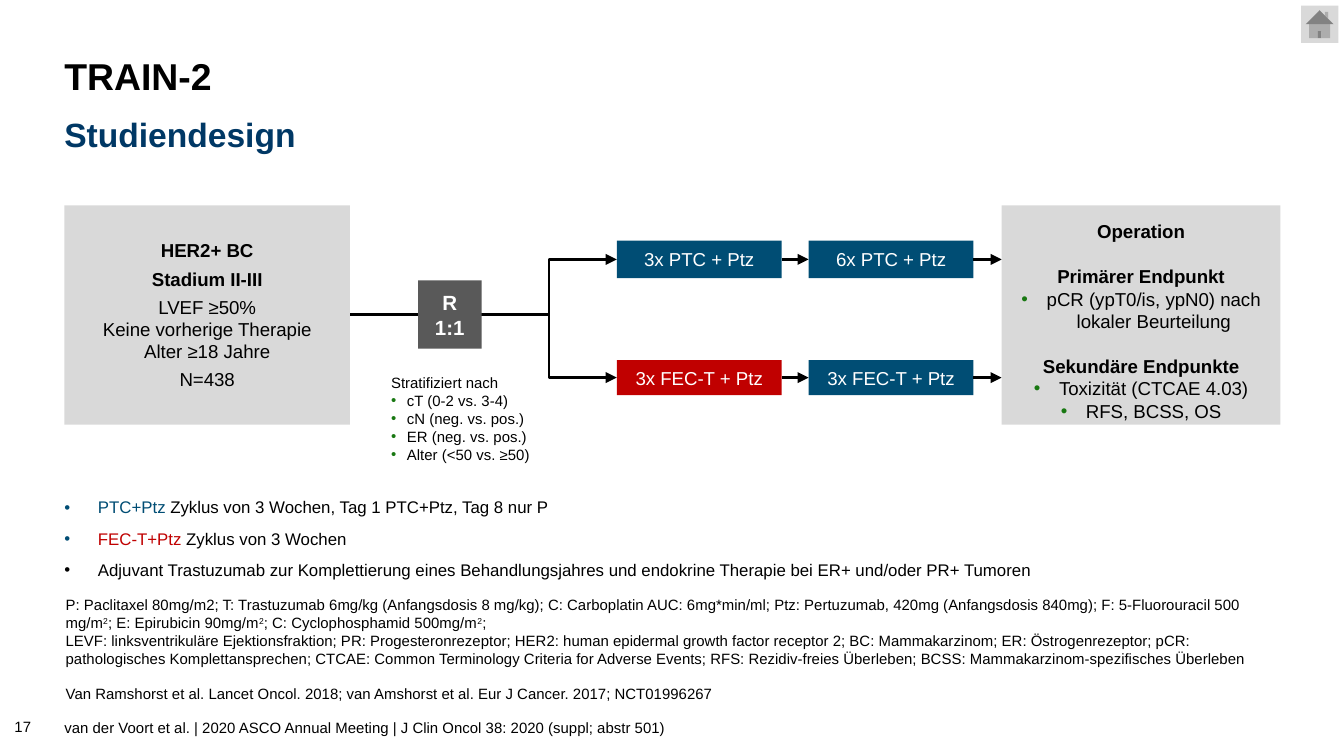
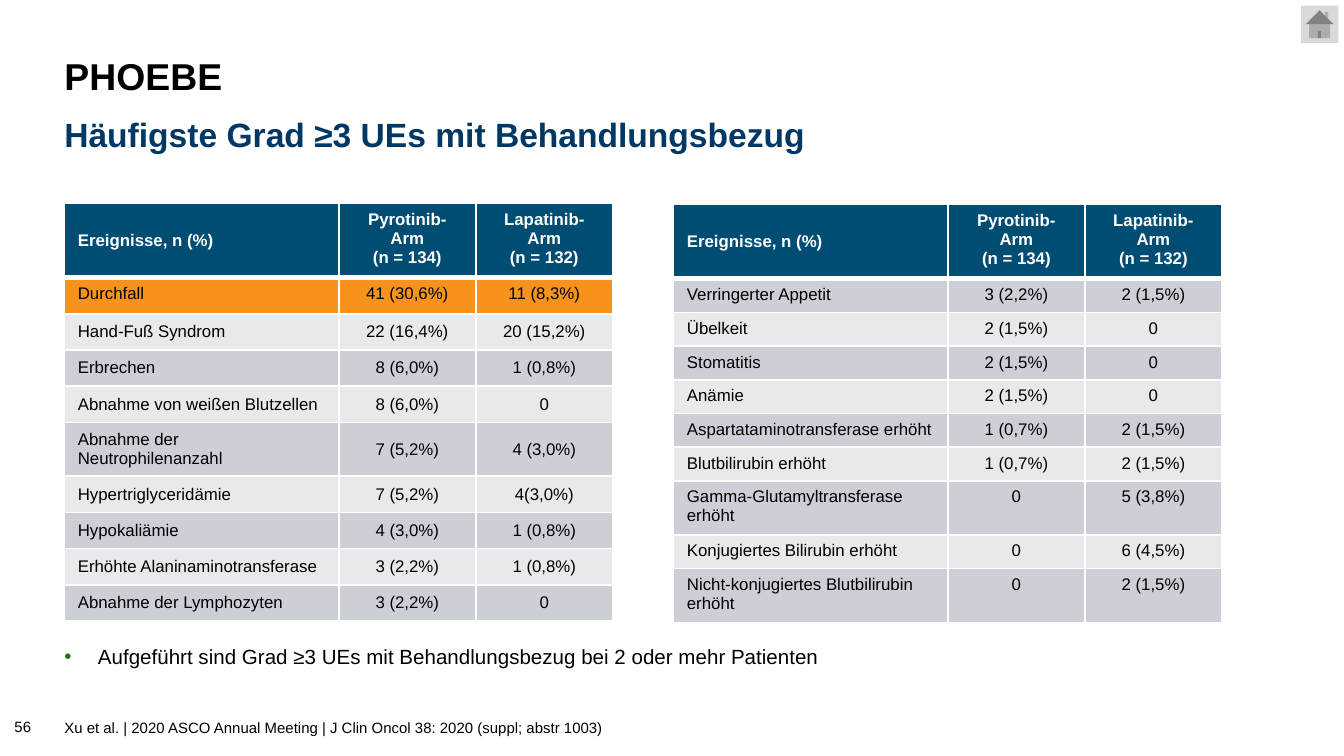
"""Builds two study slides: the TRAIN-2 design and the PHOEBE adverse events."""
from lxml import etree
from pptx import Presentation
from pptx.dml.color import RGBColor
from pptx.enum import shapes, text
from pptx.oxml import parse_xml
from pptx.oxml.ns import nsdecls, qn
from pptx.util import Pt

BLACK = RGBColor(0, 0, 0)
WHITE = RGBColor(0xFF, 0xFF, 0xFF)
NAVY = RGBColor(0x00, 0x38, 0x65)
BLUE = RGBColor(0x00, 0x4D, 0x74)
RED = RGBColor(0xC0, 0x00, 0x00)
GREEN = RGBColor(0x19, 0x78, 0x12)
ORANGE = RGBColor(0xF7, 0x93, 0x1D)
LIGHT = RGBColor(0xD9, 0xD9, 0xD9)
DARK = RGBColor(0x59, 0x59, 0x59)
ROW_FILLS = RGBColor(0xE7, 0xE9, 0xEB), RGBColor(0xCC, 0xD0, 0xD6)

FONT = "Arial"
LEFT, WIDTH = 34.5, 652.3
PH_INSETS = 0, 3.6, 7.2, 3.6
TOP, MIDDLE, BOTTOM = (text.MSO_ANCHOR.TOP, text.MSO_ANCHOR.MIDDLE,
                       text.MSO_ANCHOR.BOTTOM)
CENTER = text.PP_ALIGN.CENTER


def para(*runs, **fmt):
    """Return a paragraph; a run is a string or (string, overrides)."""
    return runs, fmt


def bullets(items, color, indent, **fmt):
    """Return one bulleted paragraph per string."""
    return [para(item, bullet=color, indent=indent, **fmt) for item in items]


SUP2 = ("2", {"baseline": 30000})
POPULATION = [
    para("HER2+ BC", bold=True),
    para("Stadium II-III", bold=True, before=3),
    para("LVEF ≥50%", before=3),
    para("Keine vorherige Therapie"),
    para("Alter ≥18 Jahre"),
    para("N=438", before=3),
]
RANDOM = [para("R", bold=True), para("1:1", bold=True)]
STRATA = [para("Stratifiziert nach")] + bullets(
    ["cT (0-2 vs. 3-4)", "cN (neg. vs. pos.)", "ER (neg. vs. pos.)",
     "Alter (<50 vs. ≥50)"], GREEN, 8.5)
ENDPOINTS = [
    para("Operation", bold=True),
    para("Primärer Endpunkt", bold=True, before=12),
    *bullets(["pCR (ypT0/is, ypN0) nach lokaler Beurteilung"], GREEN, 13.5),
    para("Sekundäre Endpunkte", bold=True, before=12),
    *bullets(["Toxizität (CTCAE 4.03)", "RFS, BCSS, OS"], GREEN, 13.5),
]
LANES = [
    (139, 20, [("3x PTC + Ptz", BLUE), ("6x PTC + Ptz", BLUE)]),
    (202.3, 18.8, [("3x FEC-T + Ptz", RED), ("3x FEC-T + Ptz", BLUE)]),
]
REGIMENS = [
    para(("PTC+Ptz ", {"color": BLUE}),
         "Zyklus von 3 Wochen, Tag 1 PTC+Ptz, Tag 8 nur P",
         bullet=BLUE, indent=18),
    para(("FEC-T+Ptz", {"color": RED}), " Zyklus von 3 Wochen",
         bullet=BLUE, indent=18, before=6),
    para("Adjuvant Trastuzumab zur Komplettierung eines Behandlungsjahres und "
         "endokrine Therapie bei ER+ und/oder PR+ Tumoren",
         bullet=BLACK, indent=18, before=6),
]
FOOTNOTES = [
    para("P: Paclitaxel 80mg/m2; T: Trastuzumab 6mg/kg (Anfangsdosis 8 mg/kg); "
         "C: Carboplatin AUC: 6mg*min/ml; Ptz: Pertuzumab, 420mg (Anfangsdosis "
         "840mg); F: 5-Fluorouracil 500 mg/m", SUP2,
         "; E: Epirubicin 90mg/m", SUP2,
         "; C: Cyclophosphamid 500mg/m", SUP2, ";"),
    para("LEVF: linksventrikuläre Ejektionsfraktion; PR: Progesteronrezeptor; "
         "HER2: human epidermal growth factor receptor 2; BC: Mammakarzinom; "
         "ER: Östrogenrezeptor; pCR: pathologisches Komplettansprechen; CTCAE: "
         "Common Terminology Criteria for Adverse Events; RFS: Rezidiv-freies "
         "Überleben; BCSS: Mammakarzinom-spezifisches Überleben"),
    para("Van Ramshorst et al. Lancet Oncol. 2018; van Amshorst et al. "
         "Eur J Cancer. 2017; NCT01996267", before=9.5),
]

HEADER = [("Ereignisse, n (%)",), ("Pyrotinib-Arm", "(n = 134)"),
          ("Lapatinib-Arm", "(n = 132)")]
COMMON_EVENTS = [
    ("Durchfall", "41 (30,6%)", "11 (8,3%)"),
    ("Hand-Fuß Syndrom", "22 (16,4%)", "20 (15,2%)"),
    ("Erbrechen", "8 (6,0%)", "1 (0,8%)"),
    ("Abnahme von weißen Blutzellen", "8 (6,0%)", "0"),
    ("Abnahme der Neutrophilenanzahl", "7 (5,2%)", "4 (3,0%)"),
    ("Hypertriglyceridämie", "7 (5,2%)", "4(3,0%)"),
    ("Hypokaliämie", "4 (3,0%)", "1 (0,8%)"),
    ("Erhöhte Alaninaminotransferase", "3 (2,2%)", "1 (0,8%)"),
    ("Abnahme der Lymphozyten", "3 (2,2%)", "0"),
]
RARE_EVENTS = [
    ("Verringerter Appetit", "3 (2,2%)", "2 (1,5%)"),
    ("Übelkeit", "2 (1,5%)", "0"),
    ("Stomatitis", "2 (1,5%)", "0"),
    ("Anämie", "2 (1,5%)", "0"),
    ("Aspartataminotransferase erhöht", "1 (0,7%)", "2 (1,5%)"),
    ("Blutbilirubin erhöht", "1 (0,7%)", "2 (1,5%)"),
    ("Gamma-Glutamyltransferase erhöht", "0", "5 (3,8%)"),
    ("Konjugiertes Bilirubin erhöht", "0", "6 (4,5%)"),
    ("Nicht-konjugiertes Blutbilirubin erhöht", "0", "2 (1,5%)"),
]
NOTE = "Aufgeführt sind Grad ≥3 UEs mit Behandlungsbezug bei 2 oder mehr Patienten"


def add_bullet(p, color, indent):
    """Give a paragraph a hanging round bullet."""
    pPr = p._p.get_or_add_pPr()
    pPr.set("marL", str(Pt(indent)))
    pPr.set("indent", str(-Pt(indent)))
    clr = etree.SubElement(pPr, qn("a:buClr"))
    etree.SubElement(clr, qn("a:srgbClr"), val=str(color))
    etree.SubElement(pPr, qn("a:buFont"), typeface=FONT)
    etree.SubElement(pPr, qn("a:buChar"), char="•")


def write(tf, paras, size, color=BLACK, align=None):
    """Fill a text frame with paragraphs, run by run."""
    for i, (runs, fmt) in enumerate(paras):
        p = tf.add_paragraph() if i else tf.paragraphs[0]
        if "bullet" in fmt:
            add_bullet(p, fmt["bullet"], fmt["indent"])
        if align is not None:
            p.alignment = align
        p.space_before = Pt(fmt.get("before", 0))
        for run in runs:
            words, own = (run, {}) if isinstance(run, str) else run
            r = p.add_run()
            r.text = words
            r.font.name, r.font.size = FONT, Pt(size)
            r.font.bold = fmt.get("bold", False)
            r.font.color.rgb = own.get("color", color)
            if "baseline" in own:
                r._r.get_or_add_rPr().set("baseline", str(own["baseline"]))


def frame(sp, anchor, insets):
    """Set wrapping, anchor and insets of a shape's text frame."""
    tf = sp.text_frame
    tf.word_wrap, tf.vertical_anchor = True, anchor
    (tf.margin_left, tf.margin_top,
     tf.margin_right, tf.margin_bottom) = map(Pt, insets)
    return tf


def add_text(s, box, paras, size, color=BLACK, anchor=TOP,
             insets=(7.2, 3.6, 7.2, 3.6)):
    """Add a text box."""
    sp = s.shapes.add_textbox(*map(Pt, box))
    write(frame(sp, anchor, insets), paras, size, color)


def add_box(s, box, fill, paras=(), size=10, color=BLACK, anchor=MIDDLE,
            insets=(7.2, 3.6, 7.2, 3.6), kind=shapes.MSO_SHAPE.RECTANGLE):
    """Add a flat filled shape with centred text."""
    sp = s.shapes.add_shape(kind, *map(Pt, box))
    sp.shadow.inherit = False
    sp.fill.solid()
    sp.fill.fore_color.rgb = fill
    sp.line.fill.background()
    write(frame(sp, anchor, insets), paras, size, color, CENTER)


def add_line(s, x1, y1, x2, y2, arrow=True):
    """Add a black connector, bent when its ends differ in height."""
    kind = shapes.MSO_CONNECTOR.STRAIGHT if y1 == y2 else shapes.MSO_CONNECTOR.ELBOW
    cx = s.shapes.add_connector(kind, *map(Pt, (x1, y1, x2, y2)))
    cx.line.color.rgb, cx.line.width = BLACK, Pt(1.5)
    if arrow:
        etree.SubElement(cx.line._get_or_add_ln(), qn("a:tailEnd"), type="triangle")
    etree.SubElement(cx._element.spPr, qn("a:effectLst"))


def add_table(s, x, y, header_h, row_heights, events, anchor, highlight=None):
    """Add an event table with white rules and banded rows."""
    widths = 147, 73.4, 73.4
    heights = [header_h, *row_heights]
    tbl = s.shapes.add_table(len(heights), len(widths), Pt(x), Pt(y),
                             Pt(sum(widths)), Pt(sum(heights))).table
    tbl.first_row = tbl.horz_banding = False
    for col, w in zip(tbl.columns, widths):
        col.width = Pt(w)
    rows = [HEADER] + [[(value,) for value in event] for event in events]
    for i, (row, h) in enumerate(zip(rows, heights)):
        tbl.rows[i].height = Pt(h)
        fill = BLUE if i == 0 else ORANGE if i == highlight else ROW_FILLS[i % 2]
        for j, lines in enumerate(row):
            cell = tbl.cell(i, j)
            rules = {"L": 1, "R": 1, "T": 3 if i == 1 else 1, "B": 1 if i else 3}
            for side, width in rules.items():
                cell._tc.get_or_add_tcPr().append(parse_xml(
                    f'<a:ln{side} {nsdecls("a")} w="{Pt(width)}"><a:solidFill>'
                    f'<a:srgbClr val="{WHITE}"/></a:solidFill></a:ln{side}>'))
            cell.fill.solid()
            cell.fill.fore_color.rgb = fill
            if i == 0:
                cell.vertical_anchor = TOP if j else MIDDLE
            else:
                cell.vertical_anchor = TOP if i == highlight else anchor
            write(cell.text_frame, [para(line, bold=i == 0) for line in lines], 9,
                  BLACK if i else WHITE, CENTER if j else None)


def add_slide(prs, title, subtitle, source, number):
    """Add a slide with home button, headings, source line and number."""
    s = prs.slides.add_slide(prs.slide_layouts[6])
    add_box(s, (697, 3, 20, 20), LIGHT, kind=shapes.MSO_SHAPE.ACTION_BUTTON_HOME)
    add_text(s, (LEFT, 21.6, WIDTH, 37.4), [para(title, bold=True)], 20,
             anchor=MIDDLE, insets=PH_INSETS)
    add_text(s, (LEFT, 57.6, WIDTH, 28), [para(subtitle, bold=True)], 18, NAVY,
             MIDDLE, PH_INSETS)
    add_text(s, (LEFT, 381.6, WIDTH, 18), [para(source)], 8, insets=PH_INSETS)
    add_text(s, (0.7, 379.5, 31, 18), [para(number)], 8, anchor=BOTTOM)
    return s


def design_slide(prs):
    """Draw the randomised two-arm design."""
    s = add_slide(prs, "TRAIN-2", "Studiendesign", "van der Voort et al. | 2020 ASCO "
                  "Annual Meeting | J Clin Oncol 38: 2020 (suppl; abstr 501)", "17")
    mid, end_x, arm_w = 168.5, 536.6, 88.3
    arm_xs = 330.4, 433.2
    add_line(s, 187.4, mid, 224, mid, arrow=False)
    for y, h, arms in LANES:
        add_line(s, 257.8, mid, arm_xs[0], y)
        for x, next_x, (label, fill) in zip(arm_xs, (arm_xs[1], end_x), arms):
            add_box(s, (x, y - h / 2, arm_w, h), fill, [para(label)], color=WHITE)
            add_line(s, x + arm_w, y, next_x, y)
    add_box(s, (LEFT, 110, 153, 117.5), LIGHT, POPULATION)
    add_box(s, (224, mid - 18.3, 34, 36.6), DARK, RANDOM, 11, WHITE,
            insets=(2.9, 3.6, 2.9, 3.6))
    add_box(s, (end_x, 110, 149.3, 117.5), LIGHT, ENDPOINTS, anchor=TOP,
            insets=(7.2, 8, 7.2, 0))
    add_text(s, (202.4, 196.6, 102.2, 55.4), STRATA, 8)
    add_text(s, (LEFT, 262.8, WIDTH, 55.4), REGIMENS, 9, insets=PH_INSETS)
    add_text(s, (35.2, 318.2, WIDTH, 58.4), FOOTNOTES, 8, anchor=BOTTOM,
             insets=(0, 0, 0, 0))


def events_slide(prs):
    """Draw the two adverse event tables."""
    s = add_slide(prs, "PHOEBE", "Häufigste Grad ≥3 UEs mit Behandlungsbezug",
                  "Xu et al. | 2020 ASCO Annual Meeting | J Clin Oncol 38: 2020 "
                  "(suppl; abstr 1003)", "56")
    add_text(s, (LEFT, 341.3, WIDTH, 27.4), bullets([NOTE], GREEN, 18), 11,
             insets=PH_INSETS)
    add_table(s, LEFT, 109, 30.2, [19.4] * 9, COMMON_EVENTS, MIDDLE, highlight=1)
    add_table(s, 360.8, 109.6, 27.4, [17.5] * 6 + [27.4, 17.5, 27.4],
              RARE_EVENTS, TOP)


def main():
    """Build and save the deck."""
    prs = Presentation()
    prs.slide_width, prs.slide_height = Pt(720), Pt(405)
    design_slide(prs)
    events_slide(prs)
    prs.save("out.pptx")


if __name__ == "__main__":
    main()
